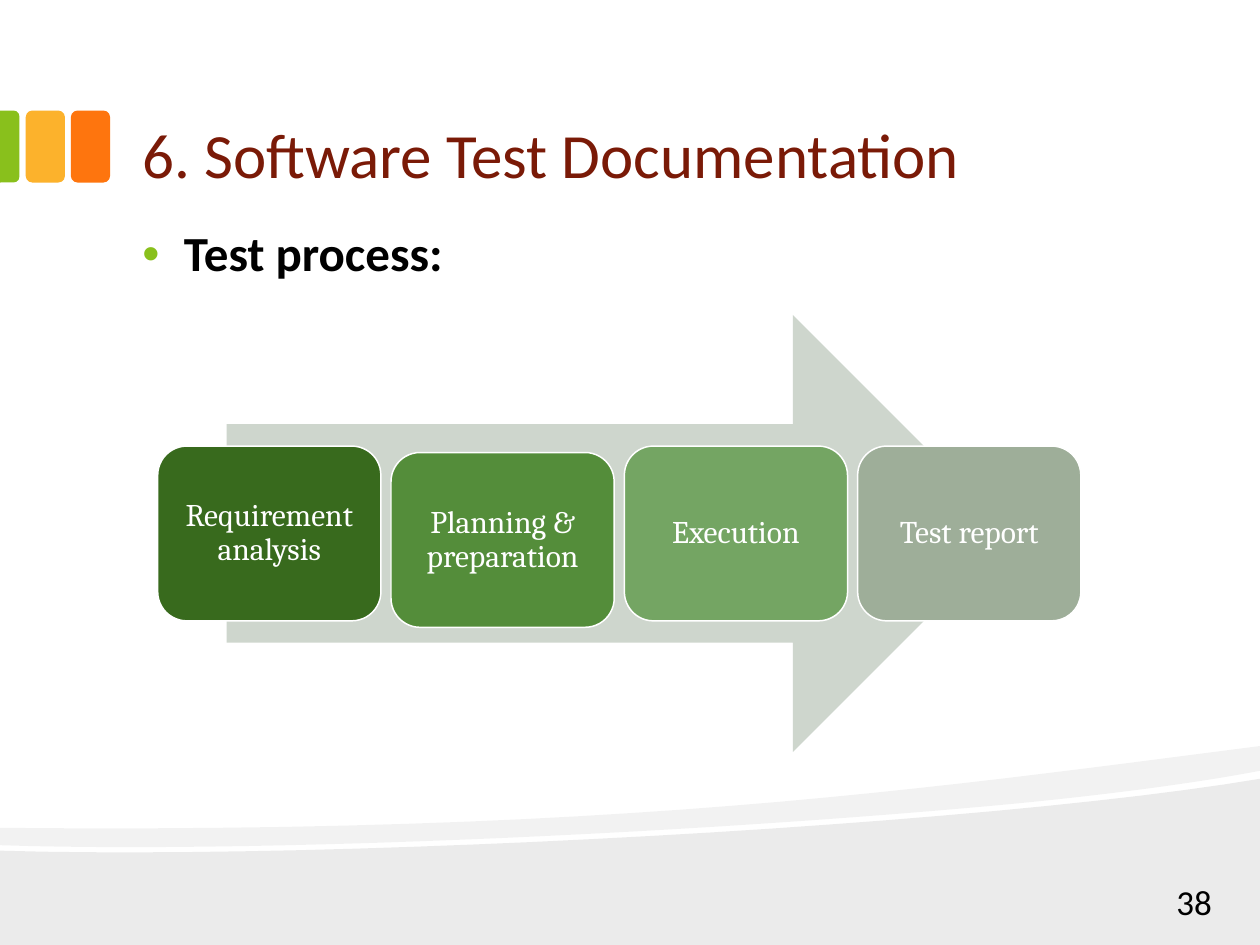
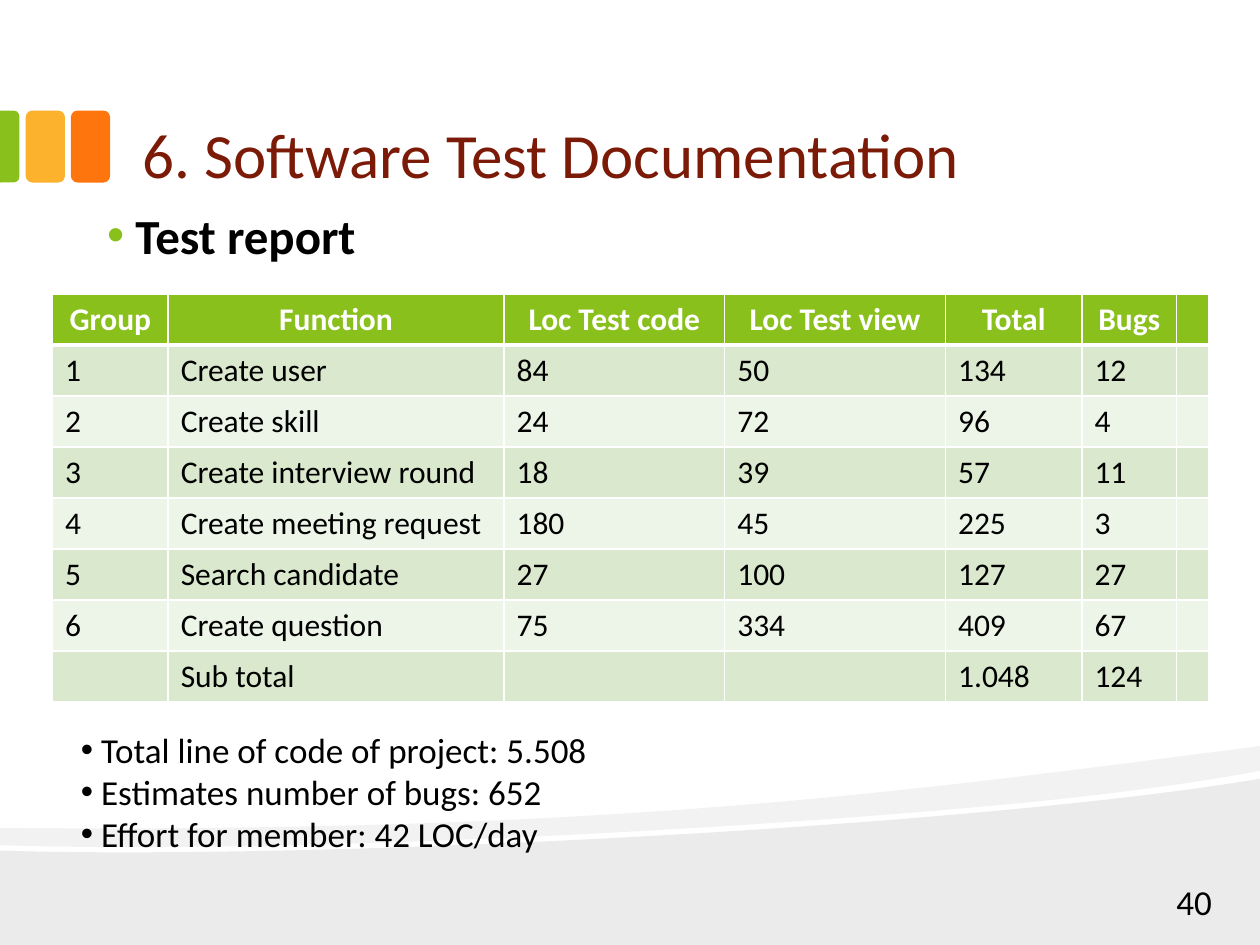
from lxml.etree import SubElement
from pptx import Presentation
from pptx.dml.color import RGBColor
from pptx.enum.shapes import MSO_SHAPE
from pptx.enum.text import MSO_ANCHOR, PP_ALIGN
from pptx.oxml.ns import qn
from pptx.util import Cm, Pt

WIDTH, HEIGHT = 25.4, 19.05
BLACK, WHITE = "000000", "FFFFFF"
GREEN, YELLOW, ORANGE, MAROON = "89C01C", "FCB22C", "FE750E", "7A1A07"
BODY_FONT, STEP_FONT = "Calibri", "Cambria"
PLACEHOLDER_INSETS = (0.33, 0.18)
DEFAULT_INSETS = (0.25, 0.13)
TITLE = "6. Software Test Documentation"

STEPS = [("Requirement analysis", "386A1D", 0),
         ("Planning & preparation", "548D3A", 0.13),
         ("Execution", "74A563", 0),
         ("Test report", "9EAE99", 0)]

COLUMN_WIDTHS = [2.33, 6.77, 4.45, 4.45, 2.75, 1.91, 0.64]
REPORT = [
    ["Group", "Function", "Loc Test code", "Loc Test view", "Total", "Bugs", ""],
    ["1", "Create user", "84", "50", "134", "12", ""],
    ["2", "Create skill", "24", "72", "96", "4", ""],
    ["3", "Create interview round", "18", "39", "57", "11", ""],
    ["4", "Create meeting request", "180", "45", "225", "3", ""],
    ["5", "Search candidate", "27", "100", "127", "27", ""],
    ["6", "Create question", "75", "334", "409", "67", ""],
    ["", "Sub total", "", "", "1.048", "124", ""],
]
SUMMARY = ["Total line of code of project: 5.508",
           "Estimates number of bugs: 652",
           "Effort for member: 42 LOC/day"]


def rgb(value):
    return RGBColor.from_string(value)


def paint(sp, color, alpha=None):
    """Give a shape a flat fill, without outline or shadow."""
    sp.shadow.inherit = False
    sp.fill.solid()
    sp.fill.fore_color.rgb = rgb(color)
    sp.line.fill.background()
    if alpha:
        clr = sp._element.spPr.find(qn("a:solidFill"))[0]
        SubElement(clr, qn("a:alpha"), val=str(alpha * 1000))


def add_box_shape(s, kind, box, color):
    sp = s.shapes.add_shape(kind, *map(Cm, box))
    paint(sp, color)
    return sp


def add_run(p, text, size, color=BLACK, font=BODY_FONT, bold=False):
    r = p.add_run()
    r.text = text
    r.font.name, r.font.size, r.font.bold = font, Pt(size), bold
    r.font.color.rgb = rgb(color)


def set_frame(tf, insets, anchor):
    tf.word_wrap = True
    tf.margin_left = tf.margin_right = Cm(insets[0])
    tf.margin_top = tf.margin_bottom = Cm(insets[1])
    tf.vertical_anchor = anchor


def add_bullet(p, color, indent):
    pPr = p._p.get_or_add_pPr()
    pPr.set("marL", str(Cm(indent)))
    pPr.set("indent", str(-Cm(indent)))
    SubElement(SubElement(pPr, qn("a:buClr")), qn("a:srgbClr"), val=color)
    SubElement(pPr, qn("a:buFont"), typeface="Arial")
    SubElement(pPr, qn("a:buChar"), char="•")


def add_text(s, box, lines, size, color=BLACK, bold=False, insets=PLACEHOLDER_INSETS,
             anchor=MSO_ANCHOR.TOP, align=PP_ALIGN.LEFT, bullet=None, spacing=None):
    """Add a text box; bullet is a (colour, indent) pair."""
    tf = s.shapes.add_textbox(*map(Cm, box)).text_frame
    set_frame(tf, insets, anchor)
    for i, line in enumerate(lines):
        p = tf.paragraphs[0] if i == 0 else tf.add_paragraph()
        if bullet:
            add_bullet(p, *bullet)
        p.alignment = align
        p.line_spacing = spacing
        add_run(p, line, size, color, bold=bold)


def curve(start, c1, c2, end, steps=24):
    """Return points along a cubic Bezier curve, leaving out its start."""
    points = []
    for i in range(1, steps + 1):
        t = i / steps
        weights = ((1 - t) ** 3, 3 * t * (1 - t) ** 2, 3 * t * t * (1 - t), t ** 3)
        points.append(tuple(sum(w * pt[axis] for w, pt in zip(weights, (start, c1, c2, end)))
                            for axis in (0, 1)))
    return points


def add_outline(s, points, alpha):
    first, *rest = [(Cm(x), Cm(y)) for x, y in points]
    builder = s.shapes.build_freeform(*first)
    builder.add_line_segments(rest, close=True)
    paint(builder.convert_to_shape(), BLACK, alpha)


def add_waves(s):
    left, right = (0, 17.15), (WIDTH, 15.7)
    add_outline(s, [right, (WIDTH, HEIGHT), (0, HEIGHT), left,
                    *curve(left, (6.71, 17.35), (19.86, 16.64), right)], 8)
    top_right, low_right, middle = (WIDTH, 15.04), (WIDTH, 15.54), (19.61, 16.28)
    low_left, top_left = (0, 17.04), (0, 16.69)
    add_outline(s, [top_right, low_right,
                    *curve(low_right, (23.93, 15.82), (21.89, 16.08), middle),
                    *curve(middle, (13.28, 16.84), (4.9, 17.2), low_left), top_left,
                    *curve(top_left, (12.42, 16.81), (18.49, 15.93), top_right)], 5)


def add_title_tabs(s, top, height):
    for left, color in ((1.43, ORANGE), (0.52, YELLOW)):
        add_box_shape(s, MSO_SHAPE.ROUNDED_RECTANGLE, (left, top, 0.79, height), color)
    width = 0.39
    offset = (height - width) / 2
    sp = add_box_shape(s, MSO_SHAPE.ROUND_2_SAME_RECTANGLE,
                       (-offset, top + offset, height, width), GREEN)
    sp.rotation = 90
    sp.adjustments[0], sp.adjustments[1] = 0.29, 0


def add_base_slide(prs, number):
    s = prs.slides.add_slide(prs.slide_layouts[6])
    add_waves(s)
    add_title_tabs(s, 2.23, 1.45)
    add_text(s, (2.54, 0.43, 20.32, 3.61), [TITLE], 36, MAROON, anchor=MSO_ANCHOR.BOTTOM)
    add_text(s, (23.06, 17.91, 1.7, 0.51), [number], 20,
             anchor=MSO_ANCHOR.MIDDLE, align=PP_ALIGN.RIGHT)
    return s


def add_process(s, box):
    """Draw the steps in a row over a wide arrow."""
    left, top, width, height = box
    add_box_shape(s, MSO_SHAPE.RIGHT_ARROW,
                  (left + 1.39, top, width * 0.85, height), "CED6CD")
    step_width, step_height = 4.5, height * 0.4
    pitch = (width - step_width) / (len(STEPS) - 1)
    for i, (label, color, drop) in enumerate(STEPS):
        sp = add_box_shape(s, MSO_SHAPE.ROUNDED_RECTANGLE,
                           (left + i * pitch, top + height * 0.3 + drop,
                            step_width, step_height), color)
        sp.line.color.rgb = rgb(WHITE)
        sp.line.width = Pt(0.85)
        set_frame(sp.text_frame, (0.18, 0.18), MSO_ANCHOR.MIDDLE)
        p = sp.text_frame.paragraphs[0]
        p.alignment = PP_ALIGN.CENTER
        p.line_spacing = 0.9
        add_run(p, label, 18, WHITE, STEP_FONT)


def set_borders(cell, widths):
    """Draw white borders; widths are left, right, top, bottom in points."""
    tcPr = cell._tc.get_or_add_tcPr()
    for i, (side, width) in enumerate(zip("LRTB", widths)):
        ln = SubElement(tcPr, qn(f"a:ln{side}"), w=str(Pt(width)))
        SubElement(SubElement(ln, qn("a:solidFill")), qn("a:srgbClr"), val=WHITE)
        tcPr.insert(i, ln)


def add_report_table(s, box):
    table = s.shapes.add_table(len(REPORT), len(COLUMN_WIDTHS), *map(Cm, box)).table
    for column, width in zip(table.columns, COLUMN_WIDTHS):
        column.width = Cm(width)
    for i, values in enumerate(REPORT):
        table.rows[i].height = Cm(box[3] / len(REPORT))
        header = i == 0
        fill = GREEN if header else ("EDF4E8", "DAE8CD")[i % 2]
        for j, value in enumerate(values):
            cell = table.cell(i, j)
            cell.fill.solid()
            cell.fill.fore_color.rgb = rgb(fill)
            set_borders(cell, (1, 1, 3 if i == 1 else 1, 3 if header else 1))
            if value:
                p = cell.text_frame.paragraphs[0]
                p.alignment = PP_ALIGN.CENTER if header else PP_ALIGN.LEFT
                add_run(p, value, 18, WHITE if header else BLACK, bold=header)


def build_process_slide(prs):
    s = add_base_slide(prs, "38")
    add_text(s, (2.54, 4.45, 20.32, 12.7), ["Test process:"], 28, bold=True,
             bullet=(GREEN, 0.84), spacing=0.9)
    add_process(s, (3.18, 6.35, 18.61, 8.81))


def build_report_slide(prs):
    s = add_base_slide(prs, "40")
    add_text(s, (1.91, 4.01, 19.69, 1.45), ["Test report"], 28, bold=True,
             insets=DEFAULT_INSETS, bullet=(GREEN, 0.57))
    add_report_table(s, (1.06, 5.93, sum(COLUMN_WIDTHS), 8.23))
    add_text(s, (1.38, 14.55, 20.75, 2.82), SUMMARY, 20,
             insets=DEFAULT_INSETS, bullet=(BLACK, 0.41))


def main():
    prs = Presentation()
    prs.slide_width, prs.slide_height = Cm(WIDTH), Cm(HEIGHT)
    build_process_slide(prs)
    build_report_slide(prs)
    prs.save("out.pptx")


if __name__ == "__main__":
    main()
